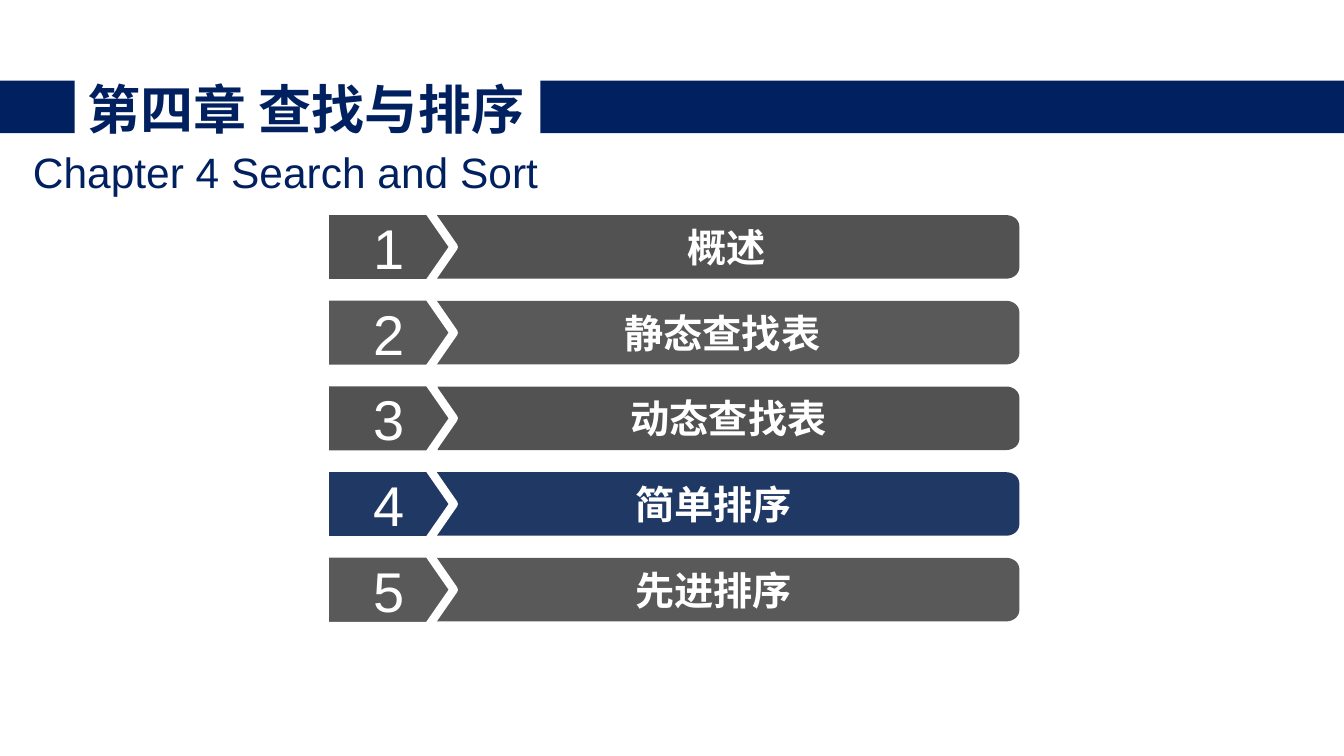
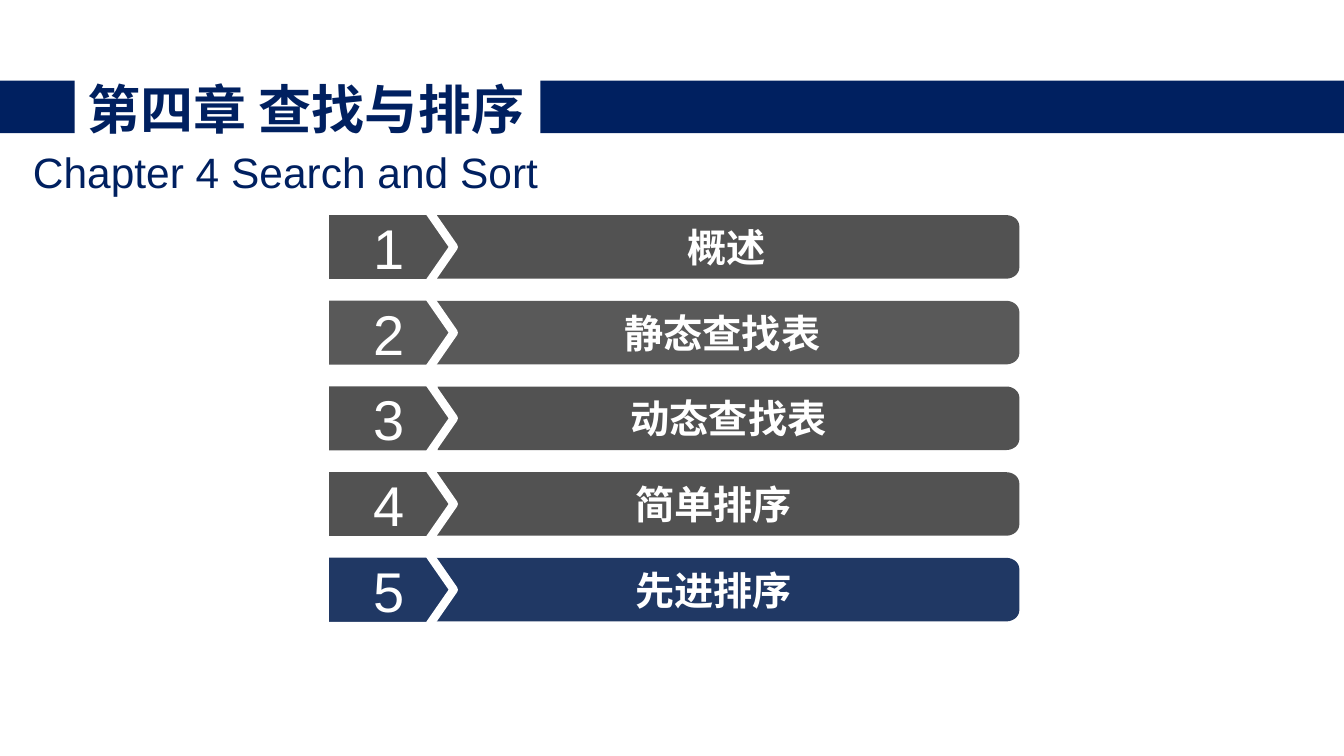
"""Build two chapter agenda slides, each highlighting its current section."""
from dataclasses import dataclass
from math import cos, pi, sin

from pptx import Presentation
from pptx.dml.color import RGBColor
from pptx.enum.shapes import MSO_SHAPE
from pptx.enum.text import MSO_ANCHOR, MSO_AUTO_SIZE, PP_ALIGN
from pptx.shapes.autoshape import Shape
from pptx.slide import Slide
from pptx.util import Inches, Pt

RECTANGLE = MSO_SHAPE.RECTANGLE
TOP, MIDDLE = MSO_ANCHOR.TOP, MSO_ANCHOR.MIDDLE
NO_AUTOFIT = MSO_AUTO_SIZE.NONE
CENTER = PP_ALIGN.CENTER

COLORS = {
    "navy": "002060",
    "active": "203864",
    "dark": "525252",
    "gray": "595959",
    "white": "FFFFFF",
}
FONT = "Arial"

ROW_TOP, ROW_STEP = 2.09, 0.85
TAG_LEFT, TAG_SHOULDER, TAG_TIP, TAG_HEIGHT = 3.22, 4.25, 4.5, 0.72
BAR_RIGHT, BAR_HEIGHT = 10.11, 0.63
CORNER_WIDTH, CORNER_HEIGHT, CORNER_STEPS = 0.13, 0.11, 12

Point = tuple[float, float]


@dataclass(frozen=True)
class Box:
    left: float
    top: float
    width: float
    height: float


@dataclass(frozen=True)
class Section:
    name: str
    color: str
    bar_left: float = 4.05
    indent: float = 0


BANDS = (Box(0, 0.8, 0.74, 0.52), Box(5.36, 0.8, 7.98, 0.52))
TITLE_BOX = Box(0.83, 0.75, 4.41, 0.64)
SUBTITLE_BOX = Box(0.2, 1.45, 5.27, 0.51)
SECTIONS = (
    Section("概述", "dark", bar_left=4.31),
    Section("静态查找表", "gray", indent=0.17),
    Section("动态查找表", "dark", bar_left=4.34),
    Section("简单排序", "dark"),
    Section("先进排序", "gray"),
)
ACTIVE_SECTIONS = (4, 5)


def rgb(name: str) -> RGBColor:
    return RGBColor.from_string(COLORS[name])


def paint(shape: Shape, color: str) -> None:
    shape.shadow.inherit = False
    shape.fill.solid()
    shape.fill.fore_color.rgb = rgb(color)
    shape.line.fill.background()


def write(shape: Shape, text: str, size: float, color: str,
          bold: bool = False, anchor: MSO_ANCHOR = MIDDLE,
          indent: float = 0) -> None:
    frame = shape.text_frame
    frame.text = text
    frame.auto_size = NO_AUTOFIT
    frame.word_wrap = False
    frame.vertical_anchor = anchor
    frame.margin_left = Inches(indent)
    frame.margin_top = frame.margin_right = frame.margin_bottom = 0
    para = frame.paragraphs[0]
    para.alignment = CENTER
    para.space_before = Pt(0)
    para.font.name = FONT
    para.font.size = Pt(size)
    para.font.bold = bold
    para.font.color.rgb = rgb(color)


def place(shape: Shape, box: Box) -> None:
    shape.left, shape.top = Inches(box.left), Inches(box.top)
    shape.width, shape.height = Inches(box.width), Inches(box.height)


def add_outline(page: Slide, points: list[Point], color: str) -> Shape:
    start, *rest = [(Inches(x), Inches(y)) for x, y in points]
    builder = page.shapes.build_freeform(*start)
    builder.add_line_segments(rest, close=True)
    shape = builder.convert_to_shape()
    paint(shape, color)
    return shape


def bar_points(left: float, top: float) -> list[Point]:
    bottom = top + BAR_HEIGHT
    center = BAR_RIGHT - CORNER_WIDTH
    angles = [pi / 2 * step / CORNER_STEPS for step in range(CORNER_STEPS + 1)]
    upper = [(center + CORNER_WIDTH * sin(angle),
              top + CORNER_HEIGHT * (1 - cos(angle))) for angle in angles]
    lower = [(x, top + bottom - y) for x, y in reversed(upper)]
    return [(left, top), *upper, *lower, (left, bottom)]


def tag_points(top: float) -> list[Point]:
    bottom = top + TAG_HEIGHT
    return [(TAG_LEFT, top), (TAG_SHOULDER, top),
            (TAG_TIP, top + TAG_HEIGHT / 2),
            (TAG_SHOULDER, bottom), (TAG_LEFT, bottom)]


def add_section(page: Slide, number: int, section: Section, active: bool) -> None:
    top = ROW_TOP + ROW_STEP * (number - 1)
    color = "active" if active else section.color
    bar_top = top + (TAG_HEIGHT - BAR_HEIGHT) / 2
    bar = add_outline(page, bar_points(section.bar_left, bar_top), color)
    write(bar, section.name, 28, "white", bold=True, indent=section.indent)
    tag = add_outline(page, tag_points(top), color)
    tag.line.color.rgb = rgb("white")
    tag.line.width = Pt(6)
    write(tag, str(number), 40, "white")


def add_header(page: Slide) -> None:
    for band in BANDS:
        shape = page.shapes.add_shape(RECTANGLE, 0, 0, 0, 0)
        place(shape, band)
        paint(shape, "navy")
    title, subtitle = page.placeholders
    place(title, TITLE_BOX)
    write(title, "第四章 查找与排序", 37.9, "navy", bold=True)
    place(subtitle, SUBTITLE_BOX)
    write(subtitle, "Chapter 4 Search and Sort", 30.3, "navy", anchor=TOP)


def main() -> None:
    deck = Presentation()
    deck.slide_width, deck.slide_height = Inches(13.33), Inches(7.5)
    for active in ACTIVE_SECTIONS:
        page = deck.slides.add_slide(deck.slide_layouts[0])
        add_header(page)
        for number, section in enumerate(SECTIONS, start=1):
            add_section(page, number, section, number == active)
    deck.save("out.pptx")


if __name__ == "__main__":
    main()
